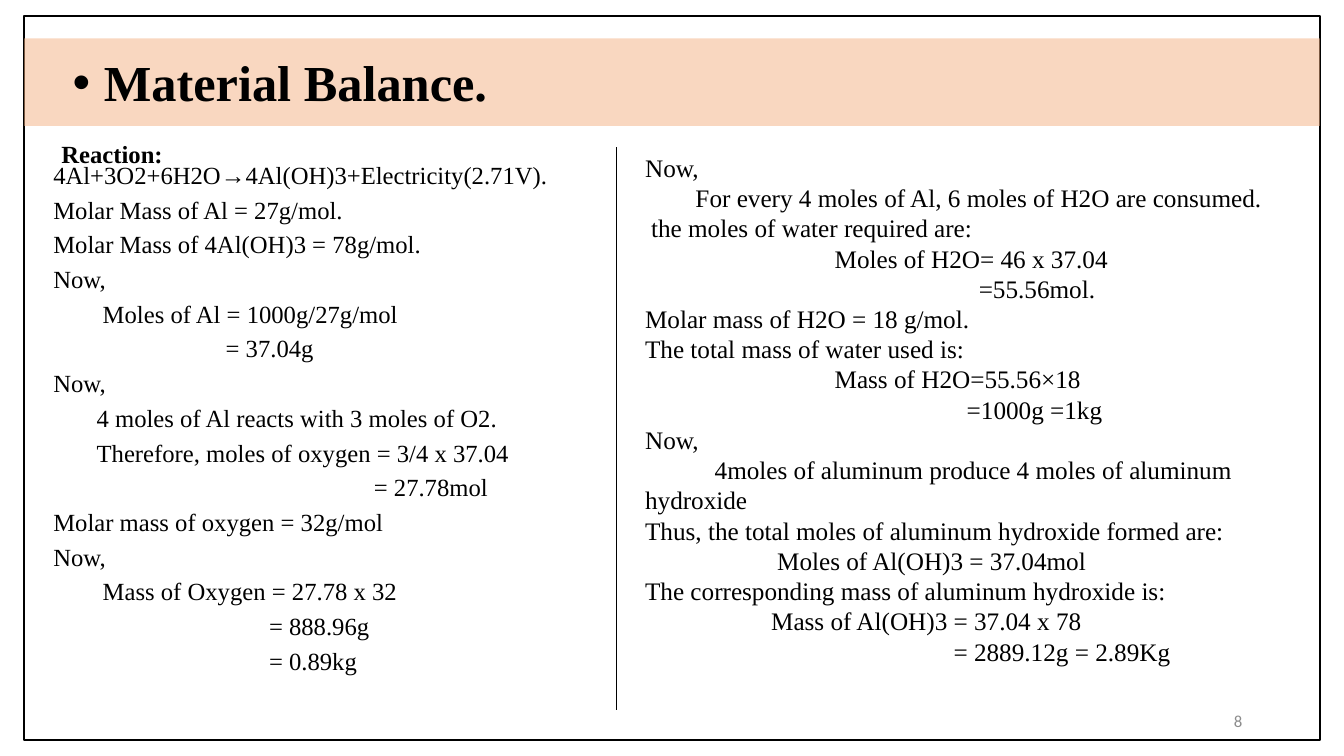
"""Build the Material Balance slide."""
from dataclasses import dataclass

import pptx
import pptx.dml.color
import pptx.enum.shapes
import pptx.enum.text
import pptx.oxml.ns
import pptx.oxml.xmlchemy
import pptx.util

Inches = pptx.util.Inches
Pt = pptx.util.Pt
ALIGN = pptx.enum.text.PP_ALIGN
ANCHOR = pptx.enum.text.MSO_ANCHOR
SERIF = "Times New Roman"


@dataclass
class Line:
    text: str
    indent: float = 0
    heading: str = ""


@dataclass
class Column:
    box: tuple[float, float, float, float]
    size: float
    spacing: float
    before: float
    lines: list[Line]


@dataclass
class Block:
    box: tuple[float, float, float, float]
    fill: str = ""
    alpha: int = 100
    line: str = ""


BLOCKS = [
    Block((0.24, 0.16, 12.85, 7.18), line="000000"),
    Block((0.24, 0.38, 12.85, 0.87), fill="F4B183", alpha=50),
]

COLUMNS = [
    Column((0.43, 1.41, 5.68, 5.63), 17.6, 0.7, 10, [
        Line("4Al+3O2+6H2O→4Al(OH)3+Electricity(2.71V).", 0.08, "Reaction: "),
        Line("Molar Mass of Al = 27g/mol."),
        Line("Molar Mass of 4Al(OH)3 = 78g/mol."),
        Line("Now,"),
        Line("Moles of Al = 1000g/27g/mol", 0.49),
        Line("= 37.04g", 1.71),
        Line("Now,"),
        Line("4 moles of Al reacts with 3 moles of O2.", 0.43),
        Line("Therefore, moles of oxygen = 3/4 x 37.04", 0.43),
        Line("= 27.78mol", 3.18),
        Line("Molar mass of oxygen = 32g/mol"),
        Line("Now,"),
        Line("Mass of Oxygen = 27.78 x 32", 0.49),
        Line("= 888.96g", 2.14),
        Line("= 0.89kg", 2.14),
    ]),
    Column((6.3, 1.46, 6.6, 5.55), 18, 1, 0, [
        Line("Now,"),
        Line("For every 4 moles of Al, 6 moles of H2O are consumed.", 0.5),
        Line("the moles of water required are:", 0.06),
        Line("Moles of H2O= 46 x 37.04", 1.88),
        Line("=55.56mol.", 3.31),
        Line("Molar mass of H2O = 18 g/mol."),
        Line("The total mass of water used is:"),
        Line("Mass of H2O=55.56×18", 1.88),
        Line("=1000g =1kg", 3.19),
        Line("Now,"),
        Line("4moles of aluminum produce 4 moles of aluminum hydroxide", 0.69),
        Line("Thus, the total moles of aluminum hydroxide formed are:"),
        Line("Moles of Al(OH)3 = 37.04mol", 1.31),
        Line("The corresponding mass of aluminum hydroxide is:"),
        Line("Mass of Al(OH)3 = 37.04 x 78", 1.25),
        Line("= 2889.12g = 2.89Kg", 3.06),
    ]),
]


def color(value: str) -> pptx.dml.color.RGBColor:
    return pptx.dml.color.RGBColor.from_string(value)


def apply(target, values: dict) -> None:
    for name, value in values.items():
        setattr(target, name, value)


def place(shape, box: tuple[float, float, float, float]) -> None:
    apply(shape, dict(zip(("left", "top", "width", "height"), map(Inches, box))))


def style_font(font, size: float, name: str = SERIF, bold: bool = False, hex_color: str = "000000") -> None:
    apply(font, {"size": Pt(size), "name": name, "bold": bold})
    font.color.rgb = color(hex_color)


def set_indent(paragraph, first: float, left: float = 0) -> None:
    properties = paragraph._p.get_or_add_pPr()
    properties.set("marL", str(Inches(left)))
    properties.set("indent", str(Inches(first)))


def add_child(parent, tag: str, **attributes: str) -> None:
    child = pptx.oxml.xmlchemy.OxmlElement(tag)
    for name, value in attributes.items():
        child.set(name, value)
    parent.append(child)


def add_block(slide, block: Block) -> None:
    shape = slide.shapes.add_shape(pptx.enum.shapes.MSO_SHAPE.RECTANGLE, *map(Inches, block.box))
    shape.shadow.inherit = False
    if block.fill:
        shape.fill.solid()
        shape.fill.fore_color.rgb = color(block.fill)
        for fill_color in shape._element.spPr.iter(pptx.oxml.ns.qn("a:srgbClr")):
            add_child(fill_color, "a:alpha", val=str(block.alpha * 1000))
    else:
        shape.fill.background()
    if block.line:
        shape.line.color.rgb = color(block.line)
        shape.line.width = Pt(1.5)
    else:
        shape.line.fill.background()


def add_column(slide, column: Column) -> None:
    frame = slide.shapes.add_textbox(*map(Inches, column.box)).text_frame
    frame.word_wrap = True
    for index, line in enumerate(column.lines):
        paragraph = frame.add_paragraph() if index else frame.paragraphs[0]
        set_indent(paragraph, line.indent)
        apply(paragraph, {"line_spacing": float(column.spacing), "space_before": Pt(column.before if index else 0)})
        for text, bold in ((line.heading, True), (line.text, False)):
            if text:
                run = paragraph.add_run()
                run.text = text
                style_font(run.font, column.size, bold=bold)


def format_title(slide) -> None:
    title = slide.shapes.title
    slide.shapes._spTree.append(title._element)
    place(title, (0.62, 0.46, 4.36, 0.71))
    title.text_frame.text = "Material Balance."
    apply(title.text_frame, {"word_wrap": False, "vertical_anchor": ANCHOR.TOP,
                             "auto_size": pptx.enum.text.MSO_AUTO_SIZE.NONE})
    paragraph = title.text_frame.paragraphs[0]
    paragraph.alignment = ALIGN.LEFT
    set_indent(paragraph, -0.31, 0.31)
    add_child(paragraph._p.get_or_add_pPr(), "a:buFont", typeface="Arial")
    add_child(paragraph._p.get_or_add_pPr(), "a:buChar", char="•")
    style_font(paragraph.runs[0].font, 36, bold=True)


def add_slide_number(slide) -> None:
    frame = slide.shapes.add_textbox(*map(Inches, (9.42, 6.95, 3, 0.4))).text_frame
    apply(frame, {"text": "8", "word_wrap": True, "vertical_anchor": ANCHOR.MIDDLE})
    frame.paragraphs[0].alignment = ALIGN.RIGHT
    style_font(frame.paragraphs[0].runs[0].font, 12, "Calibri", hex_color="8C8C8C")


def add_divider(slide) -> None:
    divider = slide.shapes.add_connector(
        pptx.enum.shapes.MSO_CONNECTOR.STRAIGHT, *map(Inches, (6.11, 1.46, 6.11, 7.04)))
    divider.line.color.rgb = color("000000")
    divider.line.width = Pt(0.5)
    add_child(divider._element.spPr, "a:effectLst")


def main() -> None:
    presentation = pptx.Presentation()
    apply(presentation, {"slide_width": Inches(13.33), "slide_height": Inches(7.5)})
    slide = presentation.slides.add_slide(presentation.slide_layouts.get_by_name("Title Only"))
    for block in BLOCKS:
        add_block(slide, block)
    format_title(slide)
    for column in COLUMNS:
        add_column(slide, column)
    add_divider(slide)
    add_slide_number(slide)
    presentation.save("out.pptx")


if __name__ == "__main__":
    main()
